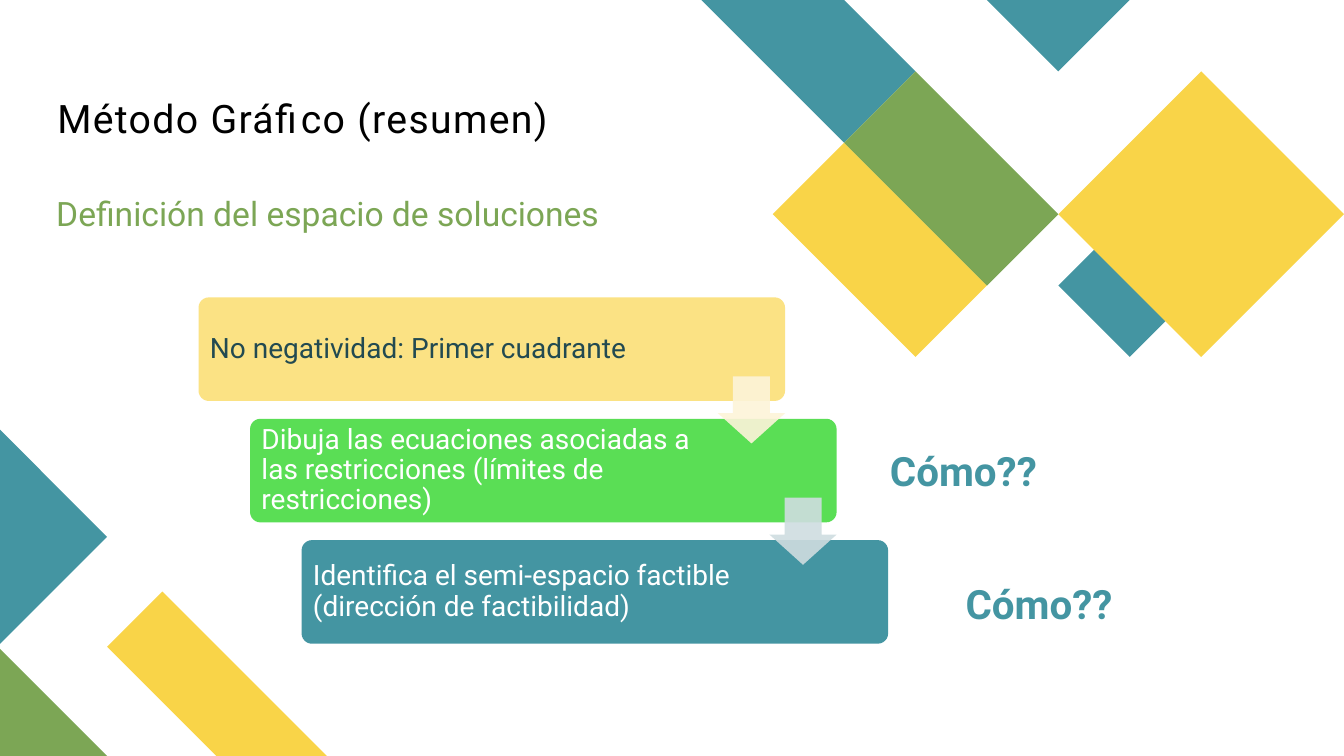
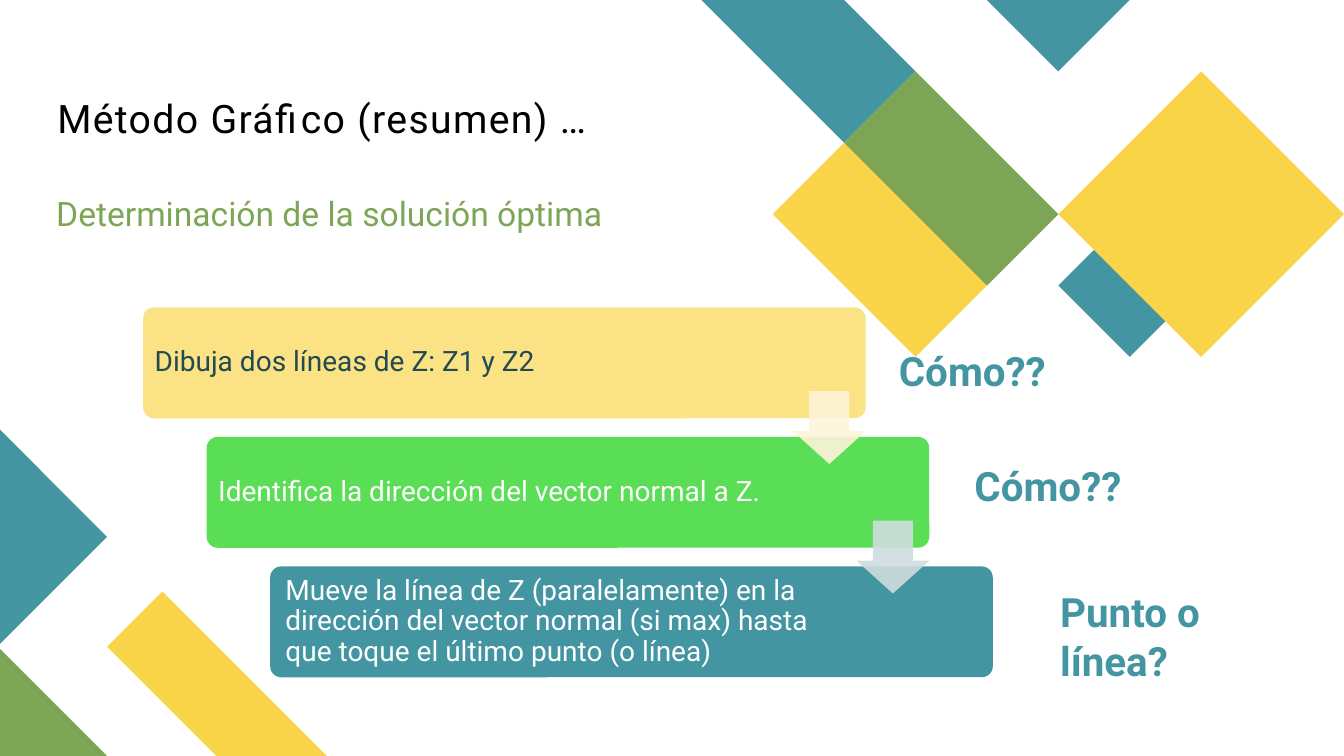
from dataclasses import dataclass

import pptx
import pptx.dml.color
import pptx.enum.shapes
import pptx.enum.text
import pptx.oxml.ns
import pptx.util
from lxml import etree


@dataclass(frozen=True)
class Theme:
    font: str = "Roboto"
    black: str = "000000"
    teal: str = "4495A2"
    yellow: str = "F9D448"
    green: str = "7CA655"
    step_fills: tuple = ("FBE284", "5ADE55", "4495A2")
    step_inks: tuple = ("224A51", "FFFFFF", "FFFFFF")
    arrow_fills: tuple = ("FDF4D9", "CFDDE0")
    arrow_opacity: int = 90
    title_size: float = 28
    subtitle_size: float = 24
    step_size: float = 20
    callout_size: float = 28.8


@dataclass(frozen=True)
class Staircase:
    """Lengths in points of a descending run of steps."""
    left: float
    top: float
    width: float
    height: float
    step_x: float
    step_y: float
    arrow: float
    text_right: float


THEME = Theme()
SLIDE_WIDTH, SLIDE_HEIGHT = 960, 540
LATTICE_LEFT, LATTICE_STEP = 501, 51

# Diamonds at the top right, in lattice units
TOP_DIAMONDS = (
    (THEME.teal, ((0, 0), (2.8, 0), (4.2, 1.4), (2.8, 2.8))),
    (THEME.teal, ((8.4, 4.2), (9.8, 5.6), (8.4, 7), (7, 5.6))),
    (THEME.yellow, ((2.8, 2.8), (1.4, 4.2), (4.2, 7), (5.6, 5.6))),
    (THEME.teal, ((5.6, 0), (8.4, 0), (7, 1.4))),
    (THEME.green, ((4.2, 1.4), (2.8, 2.8), (5.6, 5.6), (7, 4.2))),
    (THEME.yellow, ((12.6, 4.2), (9.8, 1.4), (7, 4.2), (9.8, 7))),
)
LATTICE_UNIT = LATTICE_STEP / 1.4

# Bands at the bottom left, in points
BOTTOM_BANDS = (
    (THEME.yellow, ((76.5, 462), (116, 422.5), (233.5, 540), (154.5, 540))),
    (THEME.green, ((0, 463.5), (76.5, 540), (0, 540))),
    (THEME.teal, ((0, 307), (76.5, 383.5), (0, 460))),
)


def rgb(color):
    return pptx.dml.color.RGBColor.from_string(color)


def points(*lengths):
    return [pptx.util.Pt(length) for length in lengths]


def paint(shape, color, opacity=100):
    shape.shadow.inherit = False
    shape.fill.solid()
    shape.fill.fore_color.rgb = rgb(color)
    shape.line.fill.background()
    if opacity < 100:
        color_element = shape.fill._xPr.find(".//" + pptx.oxml.ns.qn("a:srgbClr"))
        alpha = etree.SubElement(color_element, pptx.oxml.ns.qn("a:alpha"))
        alpha.set("val", str(opacity * 1000))


def write(shape, text, size, color, bold=False, line_spacing=None,
          insets=(7.2, 3.6, 7.2, 3.6), middle=False):
    frame = shape.text_frame
    frame.text = text
    frame.word_wrap = True
    frame.margin_left, frame.margin_top, frame.margin_right, frame.margin_bottom = points(*insets)
    anchors = pptx.enum.text.MSO_ANCHOR
    frame.vertical_anchor = anchors.MIDDLE if middle else anchors.TOP
    paragraph = frame.paragraphs[0]
    paragraph.alignment = pptx.enum.text.PP_ALIGN.LEFT
    if line_spacing:
        paragraph.line_spacing = line_spacing
    font = paragraph.runs[0].font
    font.name, font.size, font.bold = THEME.font, pptx.util.Pt(size), bold
    font.color.rgb = rgb(color)
    return font


def add_polygon(slide, corners, color):
    corners = [points(x, y) for x, y in corners]
    builder = slide.shapes.build_freeform(*corners[0], scale=1.0)
    builder.add_line_segments(corners[1:], close=True)
    paint(builder.convert_to_shape(), color)


def add_decoration(slide):
    for color, corners in TOP_DIAMONDS:
        add_polygon(slide, [(LATTICE_LEFT + x * LATTICE_UNIT, y * LATTICE_UNIT)
                            for x, y in corners], color)
    for color, corners in BOTTOM_BANDS:
        add_polygon(slide, corners, color)


def add_headings(slide, title, subtitle):
    title_box = slide.shapes.add_textbox(*points(41, 67, 562, 40))
    font = write(title_box, title, THEME.title_size, THEME.black, insets=(0, 0, 0, 0))
    font._element.set("spc", "100")
    subtitle_box = slide.shapes.add_textbox(*points(33.1, 137.5, 540, 40))
    write(subtitle_box, subtitle, THEME.subtitle_size, THEME.green, line_spacing=0.9)


def add_staircase(slide, stairs, texts, last_inset=6):
    shape_types = pptx.enum.shapes.MSO_SHAPE
    # Steps
    for index, text in enumerate(texts):
        left = stairs.left + index * stairs.step_x
        top = stairs.top + index * stairs.step_y
        step = slide.shapes.add_shape(shape_types.ROUNDED_RECTANGLE,
                                      *points(left, top, stairs.width, stairs.height))
        step.adjustments[0] = 0.1
        paint(step, THEME.step_fills[index])
        text_left = last_inset if index == len(texts) - 1 else 6
        write(step, text, THEME.step_size, THEME.step_inks[index], line_spacing=0.9,
              insets=(text_left, 6, stairs.text_right, 6), middle=True)
    # Arrows, centred on the gaps between steps
    for index, color in enumerate(THEME.arrow_fills):
        right = stairs.left + index * stairs.step_x + stairs.width
        middle = stairs.top + index * stairs.step_y + (stairs.height + stairs.step_y) / 2
        arrow = slide.shapes.add_shape(
            shape_types.DOWN_ARROW,
            *points(right - stairs.arrow, middle - stairs.arrow / 2, stairs.arrow, stairs.arrow))
        arrow.adjustments[0], arrow.adjustments[1] = 0.55, 0.45
        paint(arrow, color, THEME.arrow_opacity)


def add_callout(slide, text, left, top, width=136, height=42.5):
    box = slide.shapes.add_textbox(*points(left, top, width, height))
    write(box, text, THEME.callout_size, THEME.teal, bold=True)


def add_slide(presentation, title, subtitle):
    slide = presentation.slides.add_slide(presentation.slide_layouts[6])
    add_decoration(slide)
    add_headings(slide, title, subtitle)
    return slide


def main():
    presentation = pptx.Presentation()
    presentation.slide_width, presentation.slide_height = points(SLIDE_WIDTH, SLIDE_HEIGHT)

    # Solution space
    slide = add_slide(presentation, "Método Gráfico (resumen)",
                      "Definición del espacio de soluciones")
    add_staircase(slide, Staircase(141.8, 212.4, 419, 74, 36.8, 86.7, 48, 91), (
        "No negatividad: Primer cuadrante",
        "Dibuja las ecuaciones asociadas a las restricciones (límites de restricciones)",
        "Identifica el semi-espacio factible (dirección de factibilidad)"))
    add_callout(slide, "Cómo??", 628.6, 315.4)
    add_callout(slide, "Cómo??", 682.6, 410.4)

    # Optimal solution
    slide = add_slide(presentation, "Método Gráfico (resumen) …",
                      "Determinación de la solución óptima")
    add_staircase(slide, Staircase(102.2, 219.6, 516.2, 79.2, 45.4, 92.5, 52, 103), (
        "Dibuja dos líneas de Z: Z1 y Z2",
        "Identifica la dirección del vector normal a Z.",
        "Mueve la línea de Z (paralelamente) en la dirección del vector normal (si max) "
        "hasta que toque el último punto (o línea)"), last_inset=8.6)
    add_callout(slide, "Cómo??", 635, 243.4)
    add_callout(slide, "Cómo??", 689, 326.2)
    add_callout(slide, "Punto o línea?", 750.2, 416.2, 188, 77)

    presentation.save("out.pptx")


if __name__ == "__main__":
    main()
